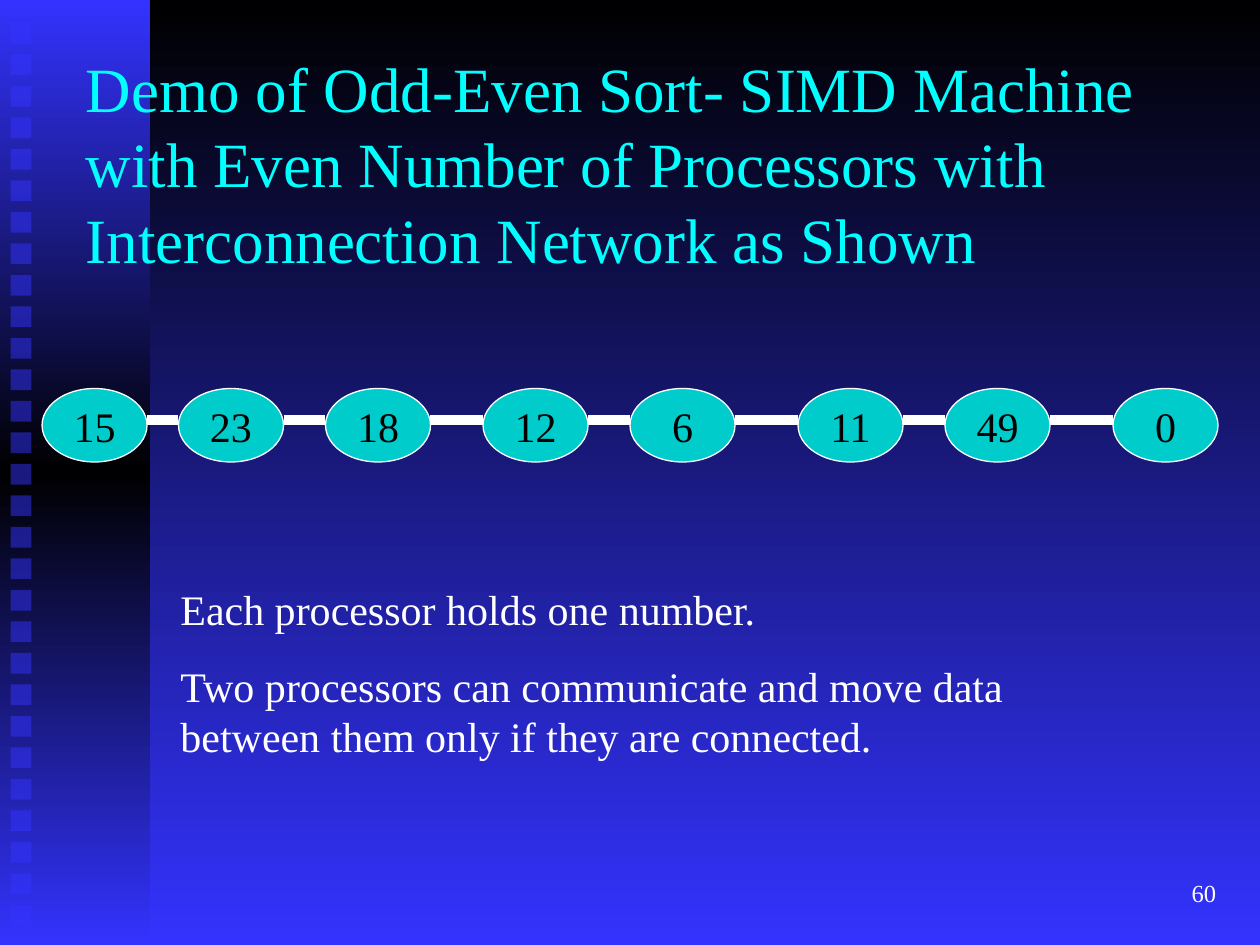
from copy import deepcopy

from pptx import Presentation
from pptx.dml.color import RGBColor
from pptx.enum.shapes import MSO_CONNECTOR as LINK, MSO_SHAPE as SHAPE
from pptx.enum.text import MSO_ANCHOR as ANCHOR, PP_ALIGN as ALIGN
from pptx.oxml.ns import qn
from pptx.oxml.xmlchemy import OxmlElement
from pptx.util import Pt

BLACK = RGBColor(0, 0, 0)
WHITE = RGBColor(255, 255, 255)
BLUE = RGBColor(0x33, 0x33, 0xFF)
CYAN = RGBColor(0, 255, 255)
TEAL = RGBColor(0, 0xCC, 0xCC)


def shade(fill, colors):
    fill.gradient_angle = 270
    for place, (stop, color) in enumerate(zip(fill.gradient_stops, colors)):
        stop.position = place / (len(colors) - 1)
        stop.color.rgb = color


def write(shape, lines, size, color, align, anchor, wrap=True, gap=0):
    box = shape.text_frame
    frame_format = {
        "word_wrap": wrap, "vertical_anchor": anchor,
        "margin_left": Pt(7.2), "margin_right": Pt(7.2),
        "margin_top": Pt(3.6), "margin_bottom": Pt(3.6),
    }
    for name, value in frame_format.items():
        setattr(box, name, value)
    for index, line in enumerate(lines):
        para = box.add_paragraph() if index else box.paragraphs[0]
        para.alignment = align
        if index:
            para.space_before = Pt(gap)
        span = para.add_run()
        span.text = line
        span.font.color.rgb = color
        for name, value in {"name": "Times New Roman", "size": Pt(size)}.items():
            setattr(span.font, name, value)


deck = Presentation()
deck.slide_width, deck.slide_height = Pt(720), Pt(540)
page = deck.slides.add_slide(deck.slide_layouts[6])
shapes = page.shapes

backdrop = page.background.fill
backdrop.gradient()
shade(backdrop, [BLACK, BLUE])

band = shapes.add_shape(SHAPE.RECTANGLE, Pt(0), Pt(0), Pt(85.7), Pt(540))
band.shadow.inherit = False
band.line.fill.background()
band.fill.gradient()
stops = band._element.spPr.find(".//" + qn("a:gsLst"))
stops.insert(1, deepcopy(stops[0]))
shade(band.fill, [BLUE, BLACK, BLUE])

for row in range(29):
    square = shapes.add_shape(SHAPE.RECTANGLE, Pt(6), Pt(13 + 18 * row), Pt(12), Pt(12))
    square.shadow.inherit = False
    square.line.fill.background()
    square.fill.solid()
    square.fill.fore_color.rgb = BLUE
    alpha = OxmlElement("a:alpha")
    alpha.set("val", "50000")
    square._element.spPr.find(".//" + qn("a:srgbClr")).append(alpha)

title = shapes.add_textbox(Pt(42), Pt(48), Pt(660), Pt(90))
write(title, ["Demo of Odd-Even Sort- SIMD Machine with Even Number of Processors "
              "with Interconnection Network as Shown"],
      36, CYAN, ALIGN.LEFT, ANCHOR.MIDDLE)

processors = [(24, "15"), (102, "23"), (186, "18"), (276, "12"),
              (360, "6"), (456, "11"), (540, "49"), (636, "0")]
for left, number in processors:
    processor = shapes.add_shape(SHAPE.OVAL, Pt(left), Pt(222), Pt(60), Pt(42))
    processor.shadow.inherit = False
    processor.fill.solid()
    processor.fill.fore_color.rgb = TEAL
    processor.line.color.rgb = WHITE
    processor.line.width = Pt(0.75)
    write(processor, [number], 24, BLACK, ALIGN.CENTER, ANCHOR.MIDDLE, wrap=False)

for (left, _), (right, _) in zip(processors, processors[1:]):
    link = shapes.add_connector(LINK.STRAIGHT, Pt(left + 60), Pt(240), Pt(right), Pt(240))
    link.line.color.rgb = WHITE
    link.line.width = Pt(6)
    link._element.spPr.append(OxmlElement("a:effectLst"))

notes = shapes.add_textbox(Pt(96), Pt(330), Pt(492), Pt(108.7))
write(notes, ["Each processor holds one number.",
              "Two processors can communicate and move data between them "
              "only if they are connected."],
      24, WHITE, ALIGN.LEFT, ANCHOR.TOP, gap=15)

page_number = shapes.add_textbox(Pt(552), Pt(492), Pt(150), Pt(36))
write(page_number, ["60"], 14, WHITE, ALIGN.RIGHT, ANCHOR.MIDDLE)

deck.save("out.pptx")
